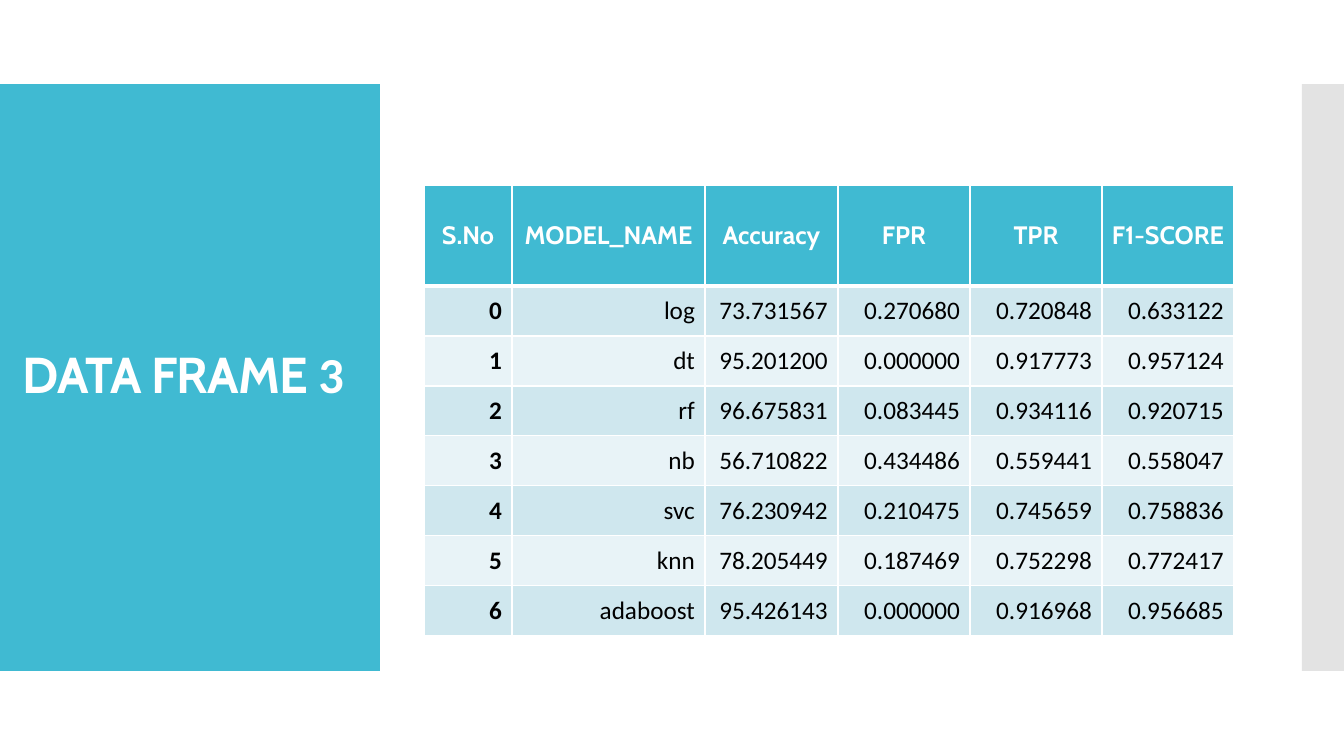
"""Build the "DATA FRAME 3" slide: a title panel beside a table of model scores."""
from lxml import etree
from pptx import Presentation
from pptx.dml.color import RGBColor
from pptx.enum.shapes import MSO_SHAPE
from pptx.enum.text import MSO_ANCHOR, PP_ALIGN
from pptx.oxml.ns import qn
from pptx.util import Pt

RECTANGLE = MSO_SHAPE.RECTANGLE
MIDDLE = MSO_ANCHOR.MIDDLE
CENTER, RIGHT = PP_ALIGN.CENTER, PP_ALIGN.RIGHT
EMU_PER_PX = 914400 / 100.8
COLORS = {
    "accent": "40BAD2",
    "side": "C8C8C8",
    "white": "FFFFFF",
    "black": "000000",
    "odd_row": "CFE7EE",
    "even_row": "E8F3F7",
}
HEADERS = ["S.No", "MODEL_NAME", "Accuracy", "FPR", "TPR", "F1-SCORE"]
SCORES = [
    ["log", "73.731567", "0.270680", "0.720848", "0.633122"],
    ["dt", "95.201200", "0.000000", "0.917773", "0.957124"],
    ["rf", "96.675831", "0.083445", "0.934116", "0.920715"],
    ["nb", "56.710822", "0.434486", "0.559441", "0.558047"],
    ["svc", "76.230942", "0.210475", "0.745659", "0.758836"],
    ["knn", "78.205449", "0.187469", "0.752298", "0.772417"],
    ["adaboost", "95.426143", "0.000000", "0.916968", "0.956685"],
]
COLUMN_WIDTHS = [88, 193, 133, 132, 132, 132]
HEADER_HEIGHT, ROW_HEIGHT = 101, 50


def px(*lengths):
    return [round(length * EMU_PER_PX) for length in lengths]


def add_run(paragraph, text, color, **formats):
    run = paragraph.add_run()
    run.text = text
    run.font.color.rgb = RGBColor.from_string(COLORS[color])
    for name, value in formats.items():
        setattr(run.font, name, value)
    return run


presentation = Presentation()
presentation.slide_width, presentation.slide_height = px(1344, 756)
slide = presentation.slides.add_slide(presentation.slide_layouts[6])

for left, width, color in [(0, 380, "accent"), (1302, 42, "side")]:
    panel = slide.shapes.add_shape(RECTANGLE, *px(left, 84, width, 587))
    panel.shadow.inherit = False
    panel.line.fill.background()
    panel.fill.solid()
    panel.fill.fore_color.rgb = RGBColor.from_string(COLORS[color])
    if color == "side":
        side_color = panel.fill._xPr.find(qn("a:solidFill"))[0]
        etree.SubElement(side_color, qn("a:alpha"), val="50000")

title = slide.shapes.add_textbox(*px(13, 124, 352, 507)).text_frame
title.word_wrap = True
title.vertical_anchor = MIDDLE
title.paragraphs[0].line_spacing = 0.9
for text, font in [("DATA FRAME ", "Cabin"), ("3", "Calibri")]:
    run = add_run(title.paragraphs[0], text, "white", name=font, size=Pt(36), bold=True)
    run.font._element.set("spc", "-60")

rows = [HEADERS] + [[str(number), *scores] for number, scores in enumerate(SCORES)]
table_height = HEADER_HEIGHT + ROW_HEIGHT * len(SCORES)
table = slide.shapes.add_table(
    len(rows), len(HEADERS), *px(424, 185, sum(COLUMN_WIDTHS), table_height)
).table
for column, width in zip(table.columns, COLUMN_WIDTHS):
    column.width = px(width)[0]

for row_index, values in enumerate(rows):
    is_header = row_index == 0
    table.rows[row_index].height = px(HEADER_HEIGHT if is_header else ROW_HEIGHT)[0]
    row_fill = "accent" if is_header else "odd_row" if row_index % 2 else "even_row"
    border_widths = {
        "lnL": 1,
        "lnR": 1,
        "lnT": 3 if row_index == 1 else 1,
        "lnB": 3 if is_header else 1,
    }
    for column_index, value in enumerate(values):
        cell = table.cell(row_index, column_index)
        cell.vertical_anchor = MIDDLE
        if is_header:
            cell.margin_left, cell.margin_right = px(5, 5)
        properties = cell._tc.get_or_add_tcPr()
        for side, points in border_widths.items():
            border = etree.SubElement(properties, qn(f"a:{side}"), w=str(Pt(points)))
            border_fill = etree.SubElement(border, qn("a:solidFill"))
            etree.SubElement(border_fill, qn("a:srgbClr"), val=COLORS["white"])
        cell.fill.solid()
        cell.fill.fore_color.rgb = RGBColor.from_string(COLORS[row_fill])
        paragraph = cell.text_frame.paragraphs[0]
        paragraph.alignment = CENTER if is_header else RIGHT
        add_run(
            paragraph,
            value,
            "white" if is_header else "black",
            name="Cabin" if is_header else "Calibri",
            size=Pt(18),
            bold=is_header or column_index == 0,
        )

presentation.save("out.pptx")
